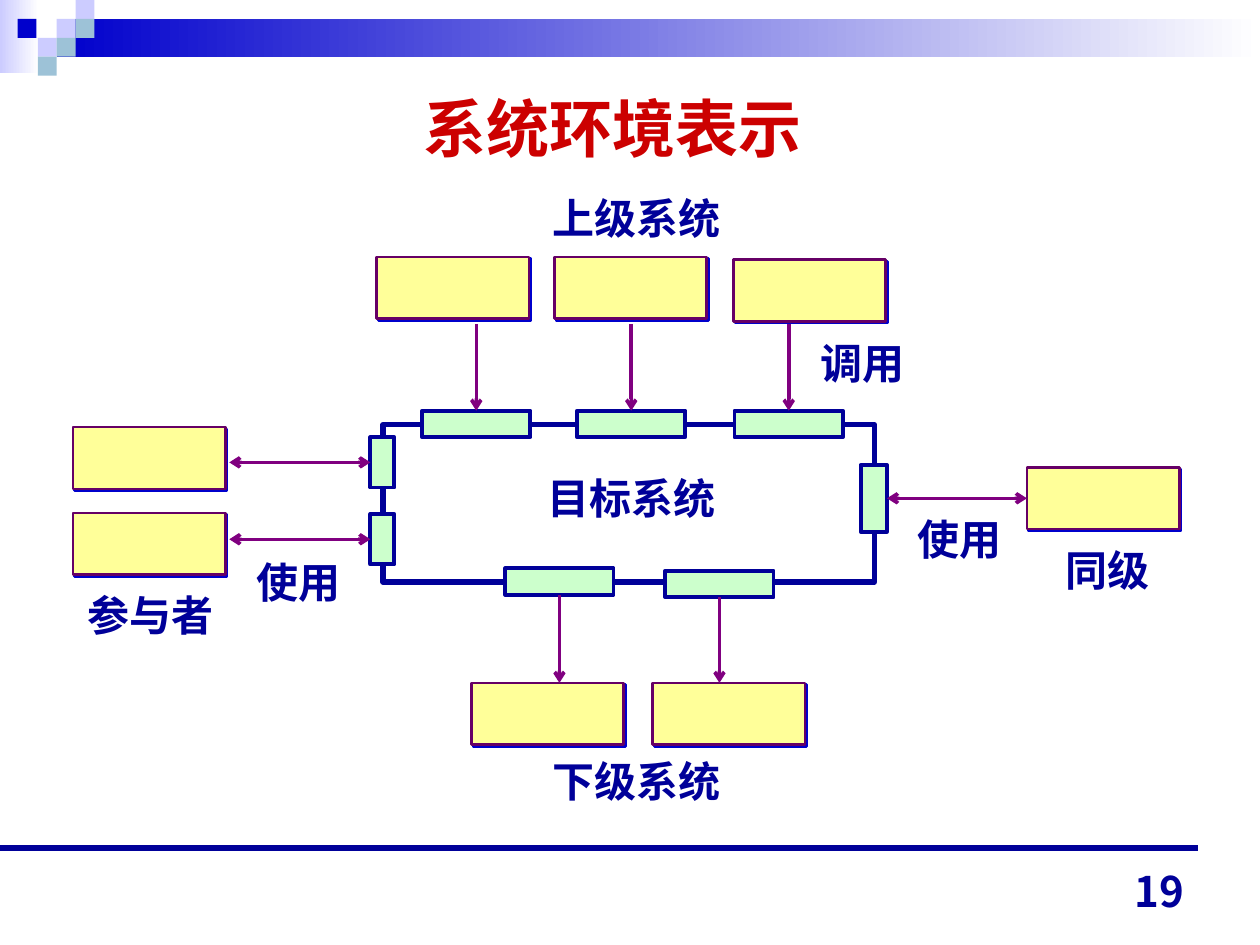
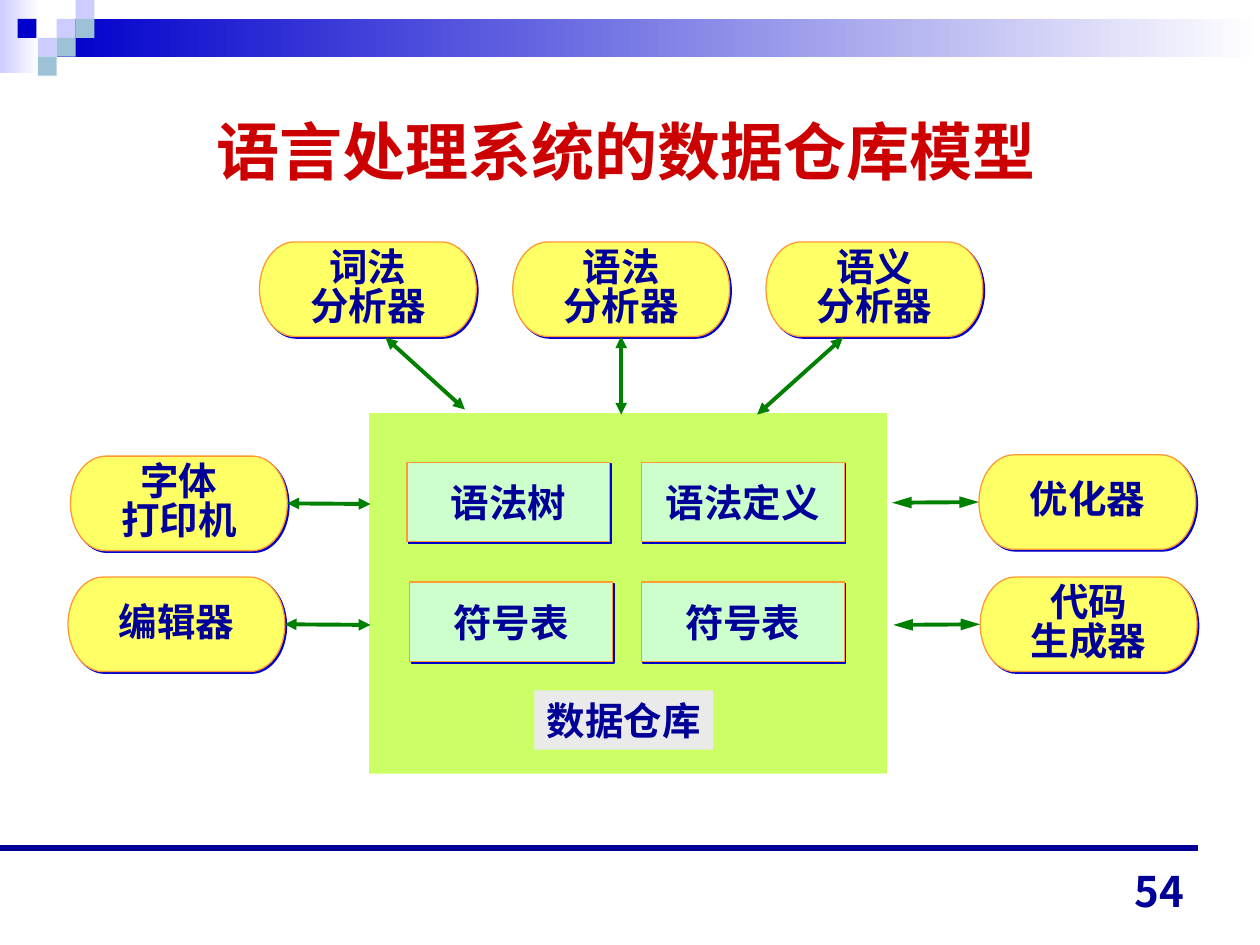
from dataclasses import dataclass

from lxml import etree
from pptx import Presentation
from pptx import util as u
from pptx.dml.color import RGBColor
from pptx.enum import shapes, text
from pptx.oxml.ns import qn

COLS, ROWS = 100, 75
TOP, LEFT, BOTTOM, RIGHT = range(4)


@dataclass(frozen=True)
class Theme:
    navy: str = "000099"
    blue: str = "0000CC"
    lilac: str = "CCCCFF"
    teal: str = "9DC2D7"
    white: str = "FFFFFF"
    red: str = "CC0000"
    mint: str = "CCFFCC"
    cream: str = "FFFF99"
    yellow: str = "FFFF66"
    lime: str = "CCFF66"
    grey: str = "EAEAEA"
    plum: str = "660066"
    purple: str = "800080"
    orange: str = "FF9933"
    green: str = "008000"
    title: int = 36
    label: int = 24
    node: int = 22
    sans: str = "Arial"
    serif: str = "Times New Roman"
    number: str = "Noto Sans CJK JP"


T = Theme()


class Deck:
    def __init__(self):
        self.prs = Presentation()
        self.prs.slide_width, self.prs.slide_height = u.Inches(10), u.Inches(7.5)
        self.s = None

    def x(self, cols):
        return round(self.prs.slide_width * cols / COLS)

    def y(self, rows):
        return round(self.prs.slide_height * rows / ROWS)

    def box(self, left, top, width, height):
        return self.x(left), self.y(top), self.x(width), self.y(height)

    def put_text(self, sp, content, size, color, font, align, anchor, wrap=False, spacing=None):
        tf = sp.text_frame
        tf.text = content
        tf.word_wrap = wrap
        tf.auto_size = text.MSO_AUTO_SIZE.NONE
        tf.vertical_anchor = anchor
        for p in tf.paragraphs:
            p.alignment = align
            if spacing:
                p.line_spacing = spacing
            for r in p.runs:
                r.font.size, r.font.bold, r.font.name = u.Pt(size), True, font
                r.font.color.rgb = RGBColor.from_string(color)

    def shape(self, at, fill=None, line=None, width=1, kind=shapes.MSO_SHAPE.RECTANGLE,
              shadow=False):
        sp = self.s.shapes.add_shape(kind, *self.box(*at))
        sp.shadow.inherit = False
        if fill:
            sp.fill.solid()
            sp.fill.fore_color.rgb = RGBColor.from_string(fill)
        else:
            sp.fill.background()
        if line:
            sp.line.color.rgb = RGBColor.from_string(line)
            sp.line.width = u.Pt(width)
        else:
            sp.line.fill.background()
        if shadow:
            effects = sp._element.spPr.find(qn("a:effectLst"))
            outer = etree.SubElement(effects, qn("a:outerShdw"), blurRad="0",
                                     dist=str(u.Pt(1.4)), dir="2700000", algn="ctr",
                                     rotWithShape="0")
            etree.SubElement(outer, qn("a:srgbClr"), val=T.blue)
        return sp

    def fade(self, at, color):
        sp = self.shape(at, color)
        sp.fill.gradient()
        sp.fill.gradient_angle = 180
        for stop, rgb in zip(sp.fill.gradient_stops, (T.white, color)):
            stop.color.rgb = RGBColor.from_string(rgb)

    def line(self, start, end, color, width, head=None, tail=None, length="med"):
        c = self.s.shapes.add_connector(shapes.MSO_CONNECTOR.STRAIGHT, 0, 0, 0, 0)
        if isinstance(start[0], (int, float)):
            c.begin_x, c.begin_y = self.x(start[0]), self.y(start[1])
        else:
            c.begin_connect(*start)
        if isinstance(end[0], (int, float)):
            c.end_x, c.end_y = self.x(end[0]), self.y(end[1])
        else:
            c.end_connect(*end)
        c.line.color.rgb = RGBColor.from_string(color)
        c.line.width = u.Pt(width)
        spPr = c._element.spPr
        for tag, style in (("a:headEnd", head), ("a:tailEnd", tail)):
            if style:
                etree.SubElement(spPr.find(qn("a:ln")), qn(tag), type=style, w="med", len=length)
        etree.SubElement(spPr, qn("a:effectLst"))

    def call(self, start, end, both=False):
        self.line(start, end, T.purple, 2, "arrow" if both else None, "arrow")

    def flow(self, start, end, length="med"):
        self.line(start, end, T.green, 2.25, "triangle", "triangle", length)

    def label(self, content, left, top):
        width = len(content) * T.label / 7.2 + 2
        sp = self.s.shapes.add_textbox(*self.box(left, top, width, 5))
        self.put_text(sp, content, T.label, T.navy, T.sans, text.PP_ALIGN.LEFT,
                      text.MSO_ANCHOR.TOP)

    def system(self, left, top):
        return self.shape((left, top, 12.1, 4.9), T.cream, T.plum, 1.5, shadow=True)

    def port(self, left, top, width=8.6, height=2.1):
        return self.shape((left, top, width, height), T.mint, T.navy, 2.25)

    def node(self, content, sp, spacing=None):
        self.put_text(sp, content, T.node, T.navy, T.serif, text.PP_ALIGN.CENTER,
                      text.MSO_ANCHOR.MIDDLE, spacing=spacing)
        return sp

    def tool(self, content, left, top):
        sp = self.shape((left, top, 17.2, 7.5), T.yellow, T.orange, 0.75,
                        shapes.MSO_SHAPE.FLOWCHART_TERMINATOR, shadow=True)
        return self.node(content, sp, 0.85)

    def table(self, content, left, top):
        sp = self.shape((left, top, 16.1, 6.3), T.mint, T.orange, 0.75, shadow=True)
        return self.node(content, sp)

    def slide(self, title, title_at, number):
        self.s = self.prs.slides.add_slide(self.prs.slide_layouts[5])
        self.fade((0, 0, 3.1, 5.8), T.lilac)
        self.fade((4.5, 1.5, 95.5, 3), T.blue)
        for col, row, color in ((3, 1, T.lilac), (4, 0, T.lilac), (4, 1, T.teal),
                                (2, 2, T.lilac), (0.93, 1, T.blue), (3, 2, T.teal),
                                (2, 3, T.teal)):
            self.shape((col * 1.5, row * 1.5, 1.5, 1.5), color)
        self.line((0, 67.3), (95.1, 67.3), T.navy, 3.25)
        sp = self.s.shapes.title
        sp.left, sp.top, sp.width, sp.height = self.box(*title_at)
        self.put_text(sp, title, T.title, T.red, T.sans, text.PP_ALIGN.CENTER,
                      text.MSO_ANCHOR.MIDDLE, wrap=True)
        sp = self.s.shapes.add_textbox(*self.box(71.7, 68.2, 23.3, 5))
        self.put_text(sp, number, T.label, T.navy, T.number, text.PP_ALIGN.RIGHT,
                      text.MSO_ANCHOR.BOTTOM, wrap=True)


def environment(d):
    d.slide("系统环境表示", (3.6, 4.8, 90, 10.6), "19")
    d.shape((30.4, 33.7, 39, 12.5), line=T.navy, width=3)

    for box_left, box_top, port_left in ((29.9, 20.4, 33.5), (44, 20.4, 45.8), (58.2, 20.6, 58.3)):
        d.system(box_left, box_top)
        d.call((port_left + 4.3, 25.7), (d.port(port_left, 32.6), TOP))

    for box_left, port_left, port_top in ((37.4, 40.1, 45.1), (51.8, 52.8, 45.3)):
        d.system(box_left, 54.2)
        d.call((d.port(port_left, port_top), BOTTOM), (port_left + 4.3, 54.2))

    for box_top, port_top in ((33.9, 34.7), (40.7, 40.8)):
        d.system(5.8, box_top)
        d.call((18.2, port_top + 2), (d.port(29.4, port_top, 1.9, 4), LEFT), both=True)

    d.call((d.port(68.3, 36.9, 2.1, 5.3), RIGHT), (d.system(81.5, 37.1), LEFT), both=True)

    for content, left, top in (("上级系统", 42.9, 14.8), ("目标系统", 42.5, 37),
                               ("下级系统", 42.9, 59.5), ("参与者", 6, 46.3),
                               ("使用", 19.4, 43.7), ("使用", 71.8, 40.3),
                               ("调用", 64.1, 26.3), ("同级", 83.6, 42.7)):
        d.label(content, left, top)


def repository(d):
    d.slide("语言处理系统的数据仓库模型", (4.7, 8, 90, 7.8), "54")
    d.shape((29.3, 32.8, 41.1, 28.6), T.lime)

    for content, left, top in (("语法树", 32.3, 36.7), ("语法定义", 50.9, 36.7),
                               ("符号表", 32.5, 46.2), ("符号表", 50.9, 46.2)):
        d.table(content, left, top)
    d.node("数据仓库", d.shape((42.4, 54.8, 14.2, 4.7), T.grey))

    analysers = [d.tool(f"{name}\n分析器", 20.6 + 20.1 * i, 19.2)
                 for i, name in enumerate(("词法", "语法", "语义"))]
    d.flow((30.6, 26.8), (36.9, 32.5))
    d.flow((analysers[1], BOTTOM), (49.3, 32.9))
    d.flow((66.9, 26.8), (60.1, 32.9))

    for content, left, top in (("字体\n打印机", 5.6, 36.2), ("编辑器", 5.4, 45.8)):
        d.flow((d.tool(content, left, top), RIGHT), (29.4, top + 3.8))
    for content, left, top in (("优化器", 77.7, 36.1), ("代码\n生成器", 77.8, 45.8)):
        d.flow((left - 6.9, top + 3.8), (d.tool(content, left, top), LEFT), "lg")


def main():
    d = Deck()
    environment(d)
    repository(d)
    d.prs.save("out.pptx")


if __name__ == "__main__":
    main()
